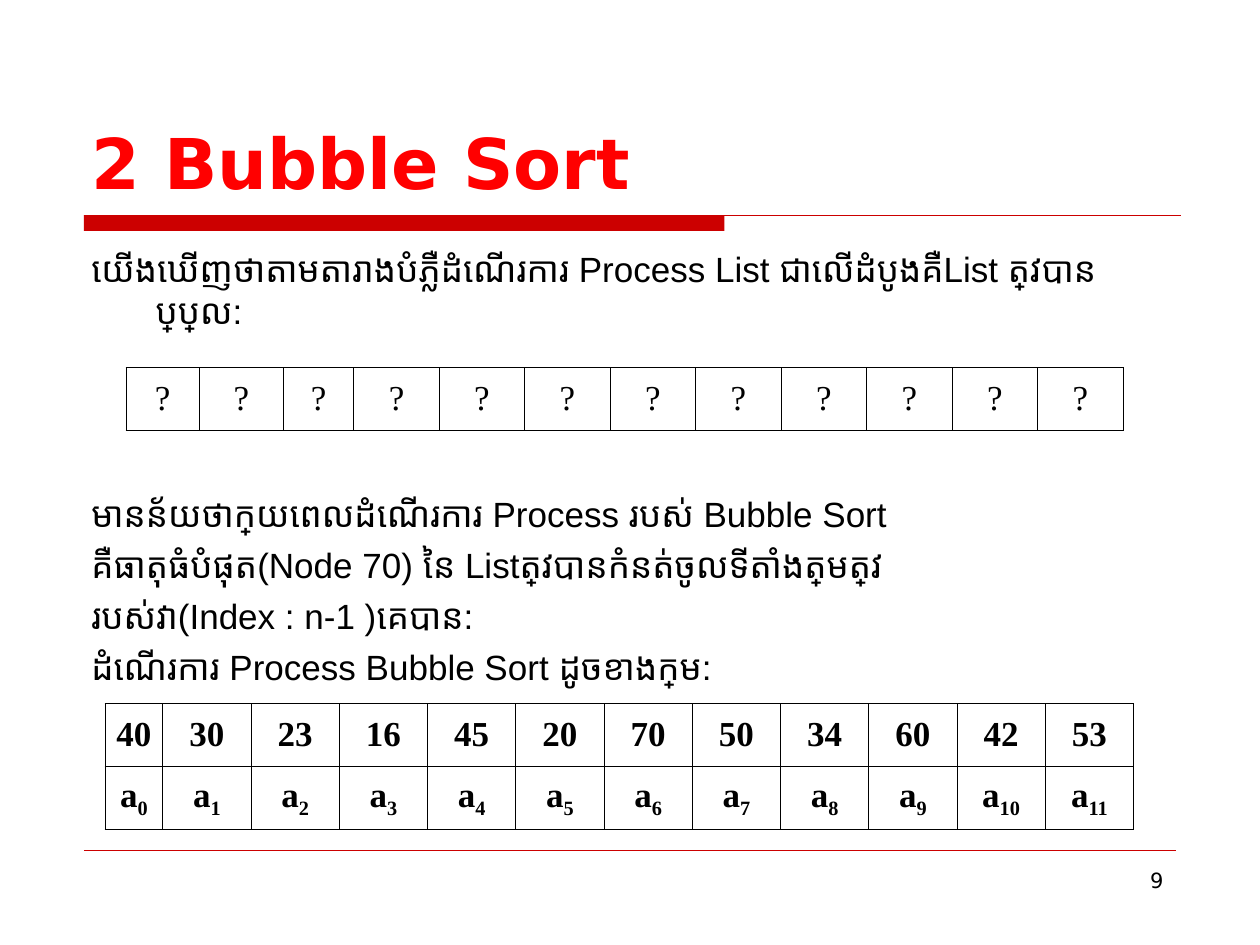
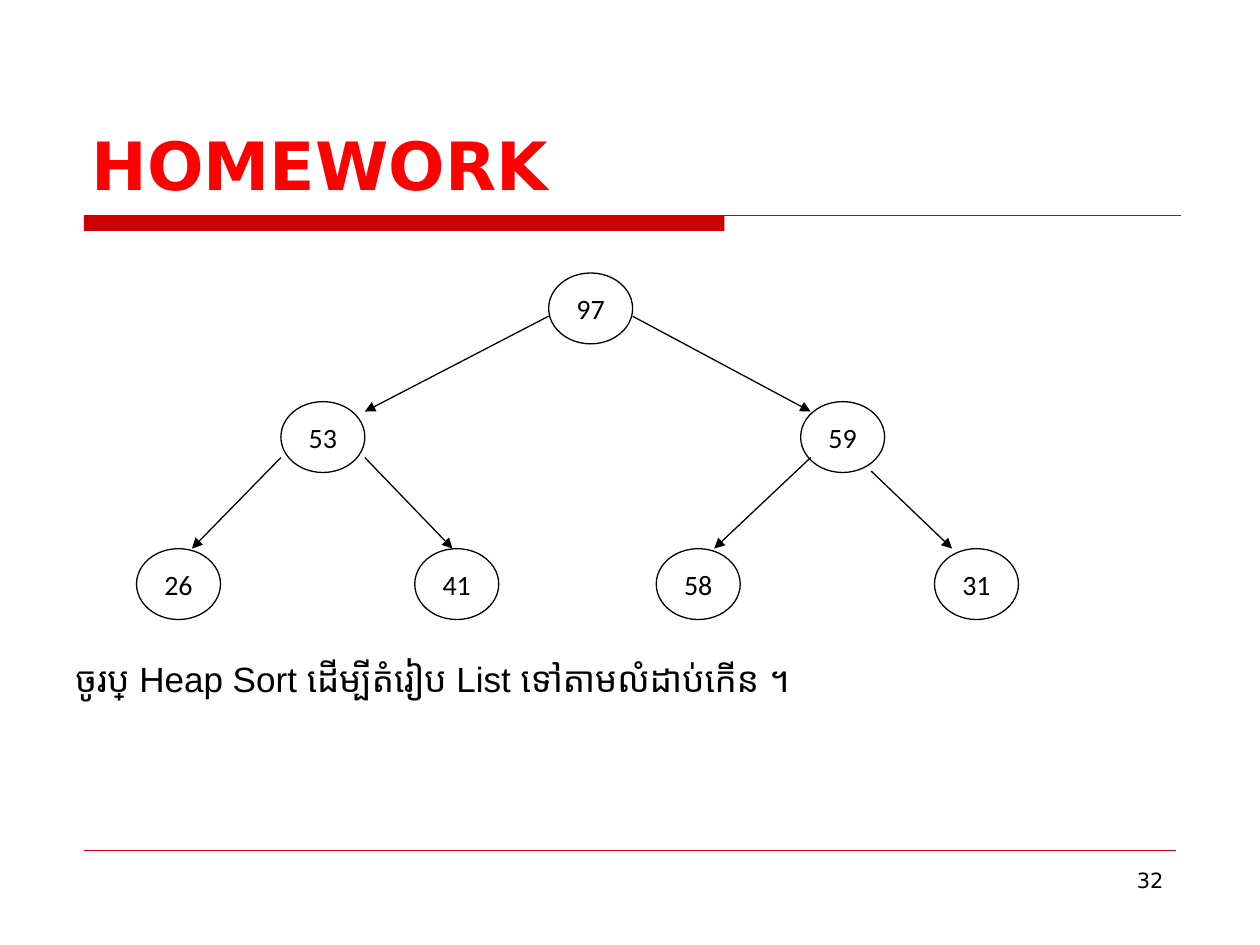
from lxml.etree import SubElement
from pptx import Presentation
from pptx.dml.color import RGBColor
from pptx.enum.shapes import MSO_CONNECTOR, MSO_SHAPE
from pptx.enum.text import MSO_ANCHOR, MSO_AUTO_SIZE, PP_ALIGN
from pptx.oxml.ns import qn
from pptx.util import Inches, Pt

# The slide is a grid of 120 columns by 90 rows
UNIT = Inches(10) / 120
RED, BAND, BLACK, WHITE = "FF0000", "CC0000", "000000", "FFFFFF"
HEAD_FONT, BODY_FONT, TABLE_FONT, NODE_FONT = "DejaVu Sans", "Arial", "Times New Roman", "Calibri"

TITLE_BOX = (7.5, 4, 105, 16)
NUMBER_BOX = (86, 82, 26, 6.25)
NODE_W, NODE_H = 8, 6.75

# Value: left and top within the tree
NODES = {
    "97": (39.25, 0),
    "53": (13.75, 12.25), "59": (63.25, 12.25),
    "26": (0, 26.25), "41": (26.5, 26.25), "58": (49.5, 26.25), "31": (76, 26.25),
}
# Parent, child, and the end points as shares of each node's box
BRANCHES = [
    ("97", "53", (0, 0.61), (1, 0.14)),
    ("97", "59", (1, 0.61), (0.12, 0.14)),
    ("53", "26", (0, 0.79), (0.66, 0)),
    ("53", "41", (1, 0.79), (0.45, 0)),
    ("59", "58", (0.12, 0.79), (0.69, 0)),
    ("59", "31", (0.84, 0.98), (0.21, 0)),
]


def grid(*cells):
    return [round(c * UNIT) for c in cells]


def color(hex_string):
    return RGBColor.from_string(hex_string)


def add_run(p, text, font, size, hex_color=BLACK, bold=False):
    r = p.add_run()
    r.text = text
    r.font.size, r.font.bold = Pt(size), bold
    r.font.color.rgb = color(hex_color)
    r.font.name = font
    SubElement(r.font._element, qn("a:cs"), typeface=font)
    return r


def add_line(slide, start, end, hex_color, width, arrow=False):
    line = slide.shapes.add_connector(MSO_CONNECTOR.STRAIGHT, *grid(*start, *end))
    line.line.color.rgb = color(hex_color)
    line.line.width = Pt(width)
    if arrow:
        SubElement(line.line._get_or_add_ln(), qn("a:tailEnd"), type="triangle")
    SubElement(line._element.spPr, qn("a:effectLst"))


def place(sp, box):
    sp.left, sp.top, sp.width, sp.height = grid(*box)
    tf = sp.text_frame
    tf.word_wrap = True
    tf.auto_size = MSO_AUTO_SIZE.NONE
    return tf


def add_base_slide(prs, title, title_size, number):
    """Add a slide with the title, red band, footer line and page number."""
    slide = prs.slides.add_slide(prs.slide_layouts[1])
    band = slide.shapes.add_shape(MSO_SHAPE.RECTANGLE, *grid(8, 20.5, 61, 1.5))
    band.shadow.inherit = False
    band.fill.solid()
    band.fill.fore_color.rgb = color(BAND)
    band.line.fill.background()
    add_line(slide, (8, 20.5), (112.5, 20.5), BAND, 0.75)
    add_line(slide, (8, 81), (112, 81), BAND, 0.25)

    tf = place(slide.shapes.title, TITLE_BOX)
    tf.vertical_anchor = MSO_ANCHOR.BOTTOM
    p = tf.paragraphs[0]
    p.alignment = PP_ALIGN.LEFT
    add_run(p, title, HEAD_FONT, title_size, RED, bold=True)

    tf = place(slide.shapes.add_textbox(*grid(*NUMBER_BOX)), NUMBER_BOX)
    p = tf.paragraphs[0]
    p.alignment = PP_ALIGN.RIGHT
    add_run(p, number, HEAD_FONT, 12)
    return slide


def fill_body(slide, box, paragraphs, hanging=0, anchor=MSO_ANCHOR.TOP):
    """Fill the body with (text, space before) paragraphs without bullets."""
    tf = place(slide.placeholders[1], box)
    tf.vertical_anchor = anchor
    for i, (text, before) in enumerate(paragraphs):
        p = tf.add_paragraph() if i else tf.paragraphs[0]
        pPr = p._p.get_or_add_pPr()
        indent = Inches(hanging)
        pPr.set("marL", str(indent))
        pPr.set("indent", str(-indent))
        SubElement(pPr, qn("a:buNone"))
        p.space_before = Pt(before)
        add_run(p, text, BODY_FONT, 20)


def format_cell(cell):
    cell.margin_left = cell.margin_right = Inches(0.08)
    cell.vertical_anchor = MSO_ANCHOR.MIDDLE
    tcPr = cell._tc.get_or_add_tcPr()
    for side in ("lnL", "lnR", "lnT", "lnB"):
        ln = SubElement(tcPr, qn(f"a:{side}"), w=str(Pt(0.45)))
        SubElement(SubElement(ln, qn("a:solidFill")), qn("a:srgbClr"), val=BLACK)
    cell.fill.background()


def add_array(slide, box, rows, first_widths, bold=False):
    """Add a table of (text, subscript) cells; later columns share the rest."""
    columns = len(rows[0])
    table = slide.shapes.add_table(len(rows), columns, *grid(*box)).table
    table.first_row = table.horz_banding = False
    rest = (box[2] - sum(first_widths)) / (columns - len(first_widths))
    widths = first_widths + [rest] * (columns - len(first_widths))
    for column, width in zip(table.columns, grid(*widths)):
        column.width = width
    for i, row in enumerate(rows):
        for j, (text, subscript) in enumerate(row):
            cell = table.cell(i, j)
            format_cell(cell)
            p = cell.text_frame.paragraphs[0]
            p.alignment = PP_ALIGN.CENTER
            add_run(p, text, TABLE_FONT, 20, bold=bold)
            if subscript:
                r = add_run(p, subscript, TABLE_FONT, 20, bold=bold)
                r.font._element.set("baseline", "-25000")


def add_node(slide, x, y, value):
    sp = slide.shapes.add_shape(MSO_SHAPE.OVAL, *grid(x, y, NODE_W, NODE_H))
    sp.shadow.inherit = False
    sp.fill.solid()
    sp.fill.fore_color.rgb = color(WHITE)
    sp.line.color.rgb = color(BLACK)
    sp.line.width = Pt(0.75)
    tf = sp.text_frame
    tf.vertical_anchor = MSO_ANCHOR.MIDDLE
    p = tf.paragraphs[0]
    p.alignment = PP_ALIGN.CENTER
    add_run(p, value, NODE_FONT, 16)


def add_tree(slide, left, top):
    def point(value, share):
        x, y = NODES[value]
        return left + x + share[0] * NODE_W, top + y + share[1] * NODE_H

    for value, (x, y) in NODES.items():
        add_node(slide, left + x, top + y, value)
    for parent, child, start, end in BRANCHES:
        add_line(slide, point(parent, start), point(child, end), BLACK, 0.75, arrow=True)


def build_bubble_sort(prs):
    slide = add_base_slide(prs, "2 Bubble Sort", 40, "9")
    fill_body(slide, (7.5, 23, 105, 56), [
        ("យើងឃើញថាតាមតារាងបំភ្លឺដំណើរការ Process List ជាលើដំបូងគឺList ត្រូវបានប្រែប្រួល:", 0),
        ("មានន័យថាក្រោយពេលដំណើរការ Process របស់ Bubble Sort", 92),
        ("គឺធាតុធំបំផុត(Node 70) នៃ Listត្រូវបានកំនត់ចូលទីតាំងត្រឹមត្រូវ", 5),
        ("របស់វា(Index : n-1 )គេបាន:", 5),
        ("ដំណើរការ Process Bubble Sort ដូចខាងក្រោម:", 5),
    ], hanging=0.51)
    values = [40, 30, 23, 16, 45, 20, 70, 50, 34, 60, 42, 53]
    unknown = [("?", "")] * len(values)
    add_array(slide, (12, 35, 95, 6), [unknown], [7, 8, 6.7])
    numbers = [(str(v), "") for v in values]
    names = [("a", str(i)) for i in range(len(values))]
    add_array(slide, (10, 67, 98, 12), [numbers, names], [5.5], bold=True)


def build_homework(prs):
    slide = add_base_slide(prs, "HOMEWORK", 38, "32")
    add_tree(slide, 13, 26)
    fill_body(slide, (6, 62, 96, 5.25),
              [("ចូរប្រើ Heap Sort ដើម្បីតំរៀប List ទៅតាមលំដាប់កើន ។", 0)],
              anchor=MSO_ANCHOR.MIDDLE)


def main():
    prs = Presentation()
    prs.slide_width, prs.slide_height = grid(120, 90)
    build_bubble_sort(prs)
    build_homework(prs)
    prs.save("out.pptx")


if __name__ == "__main__":
    main()
